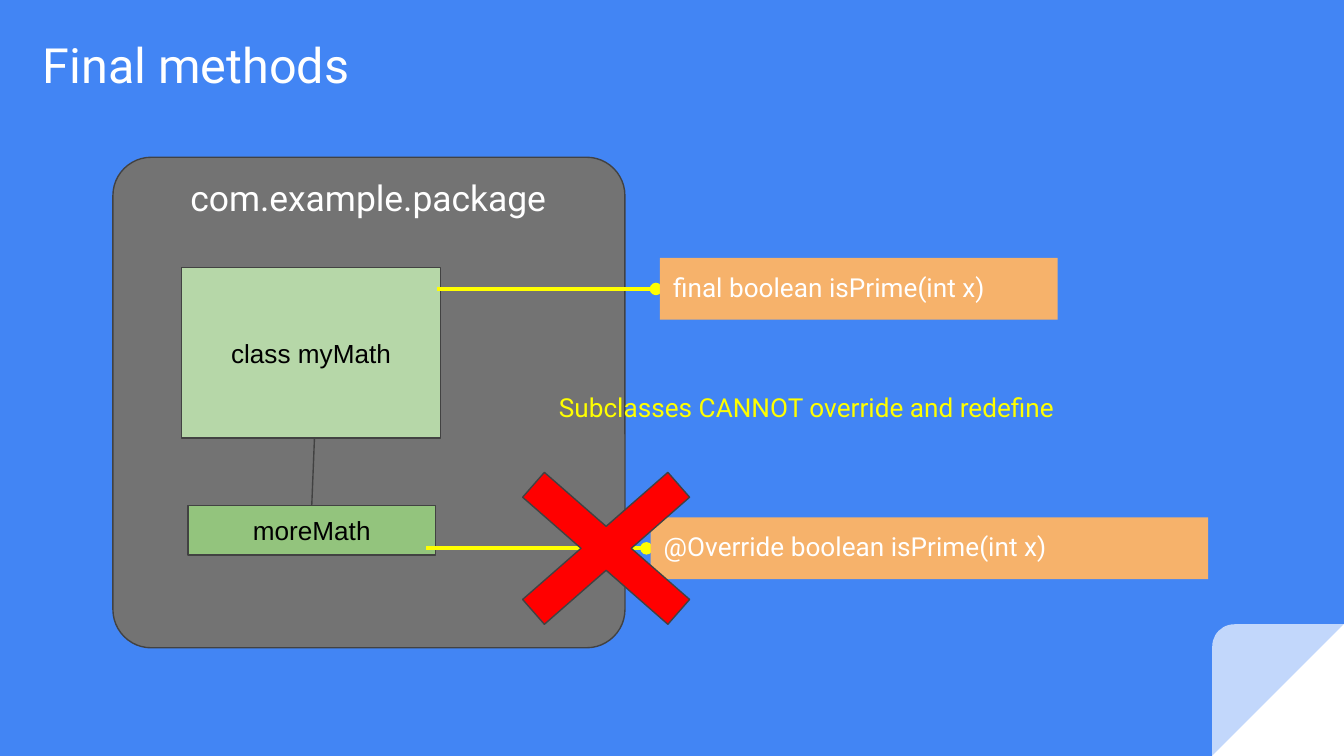
from lxml import etree
from pptx import Presentation
from pptx.dml.color import RGBColor
from pptx.enum.shapes import MSO_CONNECTOR, MSO_SHAPE
from pptx.enum.text import MSO_ANCHOR, PP_ALIGN
from pptx.oxml.ns import qn
from pptx.util import Inches, Pt

RECTANGLE = MSO_SHAPE.RECTANGLE
LEFT, CENTER = PP_ALIGN.LEFT, PP_ALIGN.CENTER
TOP, MIDDLE, BOTTOM = MSO_ANCHOR.TOP, MSO_ANCHOR.MIDDLE, MSO_ANCHOR.BOTTOM

WIDTH = 10
HEIGHT = WIDTH * 9 / 16
CORNER = 0.98
BLUE, WHITE, BLACK, YELLOW = "4285F4", "FFFFFF", "000000", "FFFF00"
GRAY, OUTLINE, ORANGE, RED = "737373", "424242", "F6B26B", "FF0000"

# Places are left, top, width, height in inches.
PACKAGE = (0.84, 1.17, 3.81, 3.65)
CROSS = (3.47, 3.17, 2.08, 1.82)
CLASSES = [
    ("class myMath", (1.35, 1.99, 1.93, 1.27), "B6D7A8"),
    ("moreMath", (1.4, 3.76, 1.84, 0.37), "93C47D"),
]
METHODS = [
    ("final boolean isPrime(int x)", (4.91, 1.92, 2.96, 0.46)),
    ("@Override boolean isPrime(int x)", (4.84, 3.85, 4.15, 0.46)),
]
CAPTIONS = [  # text, place, size, colour, alignment, anchor
    ("Final methods", (0.22, 0.24, 9.46, 0.55), 26, WHITE, LEFT, BOTTOM),
    ("com.example.package", (0.89, 1.24, 3.7, 0.46), 19, WHITE, CENTER, MIDDLE),
    ("Subclasses CANNOT override and redefine", (4.06, 2.81, 3.91, 0.42),
     14, YELLOW, LEFT, TOP),
]
INHERITANCE = ((2.34, 3.26), (2.32, 3.76))
METHOD_LINKS = [((3.25, 2.15), (4.88, 2.15)), ((3.17, 4.08), (4.81, 4.08))]


def color(value):
    return RGBColor.from_string(value)


def add_box(kind, place, fill, line=None, adjustment=None):
    box = slide.shapes.add_shape(kind, *map(Inches, place))
    box.shadow.inherit = False
    box.fill.solid()
    box.fill.fore_color.rgb = color(fill)
    if line:
        box.line.color.rgb = color(line)
        box.line.width = Pt(0.75)
    else:
        box.line.fill.background()
    if adjustment is not None:
        box.adjustments[0] = adjustment
    return box


def write(box, text, size, ink, font="Roboto", align=LEFT, anchor=TOP):
    frame = box.text_frame
    frame.word_wrap = True
    frame.vertical_anchor = anchor
    frame.margin_left = frame.margin_right = Inches(0.1)
    frame.margin_top = frame.margin_bottom = Inches(0.1)
    para = frame.paragraphs[0]
    para.text = text
    para.alignment = align
    para.font.name = font
    para.font.size = Pt(size)
    para.font.color.rgb = color(ink)


def add_caption(text, place, size, ink, align, anchor):
    box = slide.shapes.add_textbox(*map(Inches, place))
    write(box, text, size, ink, align=align, anchor=anchor)


def add_link(start, end, ink, width, dot=False):
    """Draw a straight line, with a round dot at its end if asked."""
    link = slide.shapes.add_connector(
        MSO_CONNECTOR.STRAIGHT, *map(Inches, start + end))
    link.line.color.rgb = color(ink)
    link.line.width = Pt(width)
    properties = link.element.spPr
    if dot:
        etree.SubElement(properties.find(qn("a:ln")), qn("a:tailEnd"), type="oval")
    etree.SubElement(properties, qn("a:effectLst"))


def add_folded_corner():
    place = (WIDTH - CORNER, HEIGHT - CORNER, CORNER, CORNER)
    triangle = add_box(MSO_SHAPE.RIGHT_TRIANGLE, place, WHITE)
    fold = add_box(MSO_SHAPE.ROUND_1_RECTANGLE, place, WHITE, adjustment=0.167)
    for part in (triangle, fold):
        part.element.spPr.find(qn("a:xfrm")).set("flipH", "1")
    tint = fold.element.spPr.find(qn("a:solidFill"))[0]
    etree.SubElement(tint, qn("a:alpha"), val="68000")


deck = Presentation()
deck.slide_width, deck.slide_height = Inches(WIDTH), Inches(HEIGHT)
slide = deck.slides.add_slide(deck.slide_layouts[6])
slide.background.fill.solid()
slide.background.fill.fore_color.rgb = color(BLUE)

add_folded_corner()
add_box(MSO_SHAPE.ROUNDED_RECTANGLE, PACKAGE, GRAY, OUTLINE, 0.078)
for caption in CAPTIONS:
    add_caption(*caption)
for name, place, fill in CLASSES:
    write(add_box(RECTANGLE, place, fill, OUTLINE), name, 14, BLACK,
          "Arial", CENTER, MIDDLE)
add_link(*INHERITANCE, OUTLINE, 0.75)
for start, end in METHOD_LINKS:
    add_link(start, end, YELLOW, 2.25, dot=True)
for signature, place in METHODS:
    write(add_box(RECTANGLE, place, ORANGE), signature, 14, WHITE)
add_box(MSO_SHAPE.MATH_MULTIPLY, CROSS, RED, OUTLINE, 0.135)

deck.save("out.pptx")
